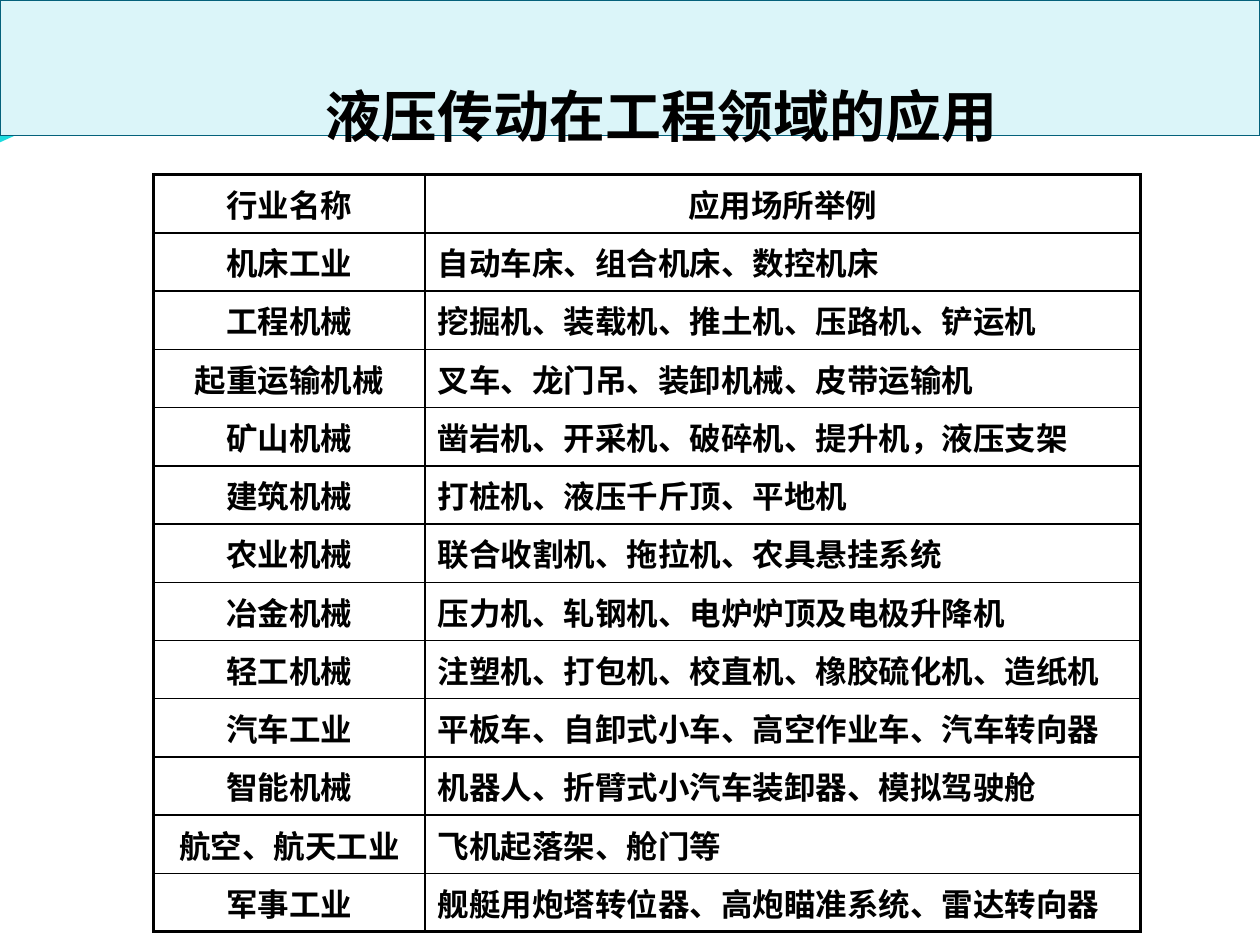
import pptx
import pptx.dml.color
import pptx.enum.shapes
import pptx.enum.text
import pptx.oxml.ns
import pptx.util
from lxml import etree

Cm = pptx.util.Cm
Pt = pptx.util.Pt
RGBColor = pptx.dml.color.RGBColor
ALIGN = pptx.enum.text.PP_ALIGN
qn = pptx.oxml.ns.qn

BLACK = RGBColor(0x00, 0x00, 0x00)
BANNER = RGBColor(0xDB, 0xF5, 0xF9)
TEAL = RGBColor(0x04, 0x61, 0x7B)
CYAN = RGBColor(0x1C, 0xDC, 0xDF)

SANS = "Noto Sans CJK SC"
SERIF = "Times New Roman"

TITLE = "液压传动在工程领域的应用"
HEADER = ("行业名称", "应用场所举例")
# industry, first example (serif), remaining examples (sans)
INDUSTRIES = [
    ("机床工业", "自动车床", "、组合机床、数控机床"),
    ("工程机械", "挖掘机", "、装载机、推土机、压路机、铲运机"),
    ("起重运输机械", "叉车", "、龙门吊、装卸机械、皮带运输机"),
    ("矿山机械", "凿岩机", "、开采机、破碎机、提升机，液压支架"),
    ("建筑机械", "打桩机", "、液压千斤顶、平地机"),
    ("农业机械", "联合收割机", "、拖拉机、农具悬挂系统"),
    ("冶金机械", "压力机", "、轧钢机、电炉炉顶及电极升降机"),
    ("轻工机械", "注塑机", "、打包机、校直机、橡胶硫化机、造纸机"),
    ("汽车工业", "平板车", "、自卸式小车、高空作业车、汽车转向器"),
    ("智能机械", "机器人", "、折臂式小汽车装卸器、模拟驾驶舱"),
    ("航空、航天工业", "", "飞机起落架、舱门等"),
    ("军事工业", "舰艇用炮塔转位器", "、高炮瞄准系统、雷达转向器"),
]

PAGE_WIDTH, PAGE_HEIGHT = 25.4, 19.05
BANNER_HEIGHT = 2.73
# outline of the wave that shows below the banner's left end, in cm
WAVE = [(0, 0), (11.18, 0), (15, 1), (19.25, 1.6), (23, 0.9), (25.4, 0.23),
        (25.4, 0.91), (22.5, 1.7), (18.95, 1.9), (12.5, 1.35), (6.53, 0.86),
        (3.6, 1.25), (0, 2.87)]
TABLE_LEFT, TABLE_TOP = 3.1, 3.52
COLUMN_WIDTHS = (5.47, 14.42)
ROW_HEIGHT = 1.12
OUTER_LINE, INNER_LINE = 2.25, 1


def add_span(para, text, size, font_name):
    span = para.add_run()
    span.text = text
    span.font.size = Pt(size)
    span.font.bold = True
    span.font.color.rgb = BLACK
    span.font.name = font_name
    east_asian = etree.SubElement(span.font._element, qn("a:ea"))
    east_asian.set("typeface", SANS)


def set_border(cell, side, width):
    """Draw one side (L, R, T or B) of a cell as a solid black line."""
    line = etree.SubElement(cell._tc.get_or_add_tcPr(), qn(f"a:ln{side}"), w=str(Pt(width)))
    fill = etree.SubElement(line, qn("a:solidFill"))
    etree.SubElement(fill, qn("a:srgbClr"), val=str(BLACK))


def add_wave(page):
    start, *others = [(Cm(x), Cm(y)) for x, y in WAVE]
    outline = page.shapes.build_freeform(*start)
    outline.add_line_segments(others)
    wave = outline.convert_to_shape()
    wave.shadow.inherit = False
    wave.fill.solid()
    wave.fill.fore_color.rgb = CYAN
    wave.line.fill.background()


def add_banner(page):
    banner = page.shapes.add_shape(
        pptx.enum.shapes.MSO_SHAPE.RECTANGLE, 0, 0, Cm(PAGE_WIDTH), Cm(BANNER_HEIGHT))
    banner.shadow.inherit = False
    banner.fill.solid()
    banner.fill.fore_color.rgb = BANNER
    banner.line.color.rgb = TEAL
    banner.line.width = Pt(0.75)
    frame = banner.text_frame
    frame.word_wrap = True
    frame.vertical_anchor = pptx.enum.text.MSO_ANCHOR.MIDDLE
    frame.margin_top = Cm(0.53)
    para = frame.paragraphs[0]
    para.alignment = ALIGN.CENTER
    para.line_spacing = 2.1
    indents = para._p.get_or_add_pPr()
    indents.set("marL", str(Cm(3.25)))
    indents.set("indent", str(Cm(-1.98)))
    add_span(para, TITLE, 32, SANS)


def industry_spans(name):
    """Set the name in serif and any enumeration comma in sans."""
    first, comma, last = name.partition("、")
    return [(first, SERIF), (comma, SANS), (last, SERIF)]


def add_industry_table(page):
    rows = [[[(text, SERIF)] for text in HEADER]]
    for name, first, rest in INDUSTRIES:
        rows.append([industry_spans(name), [(first, SERIF), (rest, SANS)]])

    table = page.shapes.add_table(
        len(rows), len(COLUMN_WIDTHS), Cm(TABLE_LEFT), Cm(TABLE_TOP),
        Cm(sum(COLUMN_WIDTHS)), Cm(ROW_HEIGHT * len(rows))).table
    table.first_row = False
    table.horz_banding = False
    for column, width in zip(table.columns, COLUMN_WIDTHS):
        column.width = Cm(width)

    last_row, last_column = len(rows) - 1, len(COLUMN_WIDTHS) - 1
    for r, row in enumerate(rows):
        table.rows[r].height = Cm(ROW_HEIGHT)
        for c, spans in enumerate(row):
            cell = table.cell(r, c)
            para = cell.text_frame.paragraphs[0]
            para.alignment = ALIGN.CENTER if r == 0 or c == 0 else ALIGN.LEFT
            for text, font_name in spans:
                if text:
                    add_span(para, text, 18, font_name)
            outer_sides = {"L": c == 0, "R": c == last_column,
                           "T": r == 0, "B": r == last_row}
            for side, is_outer in outer_sides.items():
                set_border(cell, side, OUTER_LINE if is_outer else INNER_LINE)
            cell.fill.background()


def main():
    deck = pptx.Presentation()
    deck.slide_width, deck.slide_height = Cm(PAGE_WIDTH), Cm(PAGE_HEIGHT)
    page = deck.slides.add_slide(deck.slide_layouts[6])
    add_wave(page)
    add_banner(page)
    add_industry_table(page)
    deck.save("out.pptx")


if __name__ == "__main__":
    main()
